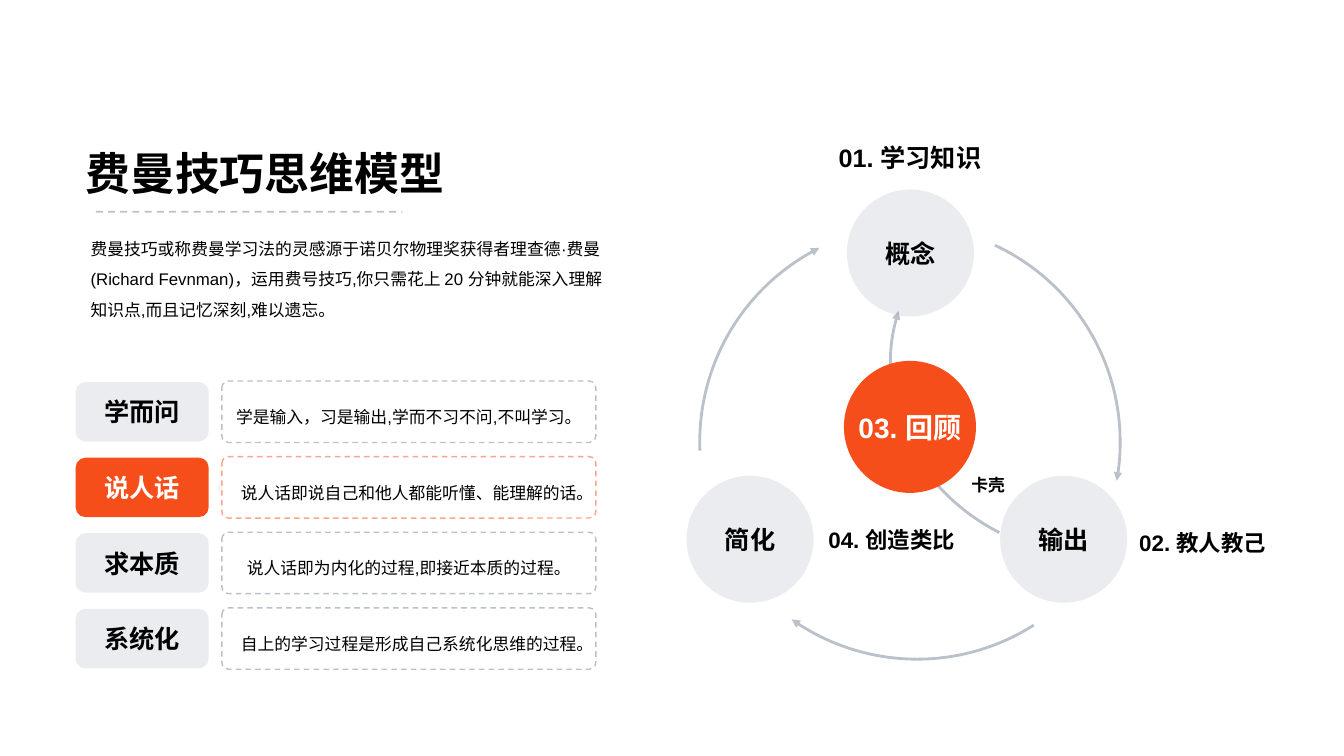
from lxml import etree
from pptx import Presentation
from pptx.dml.color import RGBColor
from pptx.enum.dml import MSO_LINE
from pptx.enum.shapes import MSO_CONNECTOR, MSO_SHAPE
from pptx.enum.text import MSO_ANCHOR, PP_ALIGN
from pptx.oxml.ns import qn
from pptx.util import Inches, Pt

ARC, OVAL, ROUND = MSO_SHAPE.ARC, MSO_SHAPE.OVAL, MSO_SHAPE.ROUNDED_RECTANGLE
LEFT, CENTER, RIGHT = PP_ALIGN.LEFT, PP_ALIGN.CENTER, PP_ALIGN.RIGHT
TOP, MIDDLE, BOTTOM = MSO_ANCHOR.TOP, MSO_ANCHOR.MIDDLE, MSO_ANCHOR.BOTTOM
DASH = MSO_LINE.DASH
COLORS = {name: RGBColor.from_string(code) for name, code in {
    "gray": "778495", "orange": "F54E1A", "black": "000000", "white": "FFFFFF",
}.items()}

deck = Presentation()
deck.slide_width, deck.slide_height = Inches(13.33), Inches(7.5)
slide = deck.slides.add_slide(deck.slide_layouts[6])
shapes = slide.shapes


def paint(shape, fill=None, line=None, width=1, dash=None, alpha=100):
    """Set fill and line without shadow; alpha is the opacity in percent."""
    props = shape._element.spPr
    if fill:
        shape.fill.solid()
        shape.fill.fore_color.rgb = COLORS[fill]
    elif hasattr(shape, "fill"):
        shape.fill.background()
    if line:
        shape.line.color.rgb = COLORS[line]
        shape.line.width = Pt(width)
        if dash:
            shape.line.dash_style = dash
    else:
        shape.line.fill.background()
    if alpha < 100:
        for color in props.iter(qn("a:srgbClr")):
            etree.SubElement(color, qn("a:alpha")).set("val", str(alpha * 1000))
    etree.SubElement(props, qn("a:effectLst"))


def write(shape, text, size, color="black", bold=True, align=CENTER,
          anchor=MIDDLE, space=None, wrap=True):
    frame = shape.text_frame
    frame.word_wrap = wrap
    frame.vertical_anchor = anchor
    para = frame.paragraphs[0]
    para.text = text
    para.alignment = align
    if space:
        para.line_spacing = space
    font = para.font
    font.name, font.size, font.bold = "Arial", Pt(size), bold
    font.color.rgb = COLORS[color]


# Arrows of the cycle; the first one is turned to run behind the centre
for x, y, w, h, start, end, turn in [
    (8.83, 1.68, 4.31, 3.86, 181.62, 8.51, 180),
    (6.8, 2.23, 4.31, 4.31, 177.04, 6.16, 0),
    (6.94, 2.23, 4.31, 4.31, 34.49, 75.15, 0),
    (6.94, 2.23, 4.31, 4.31, 106.63, 145.98, 0),
]:
    arc = shapes.add_shape(ARC, Inches(x), Inches(y), Inches(w), Inches(h))
    arc.adjustments[0], arc.adjustments[1] = start, end
    arc.rotation = turn
    paint(arc, line="gray", width=2, dash=MSO_LINE.SOLID, alpha=50)
    edge = arc._element.spPr.find(qn("a:ln"))
    etree.SubElement(edge, qn("a:tailEnd")).set("type", "triangle")

# Circles
for text, x, y, side, size, fill, alpha, color in [
    ("概念", 8.4, 1.88, 1.26, 18, "gray", 15, "black"),
    ("输出", 9.92, 4.72, 1.26, 18, "gray", 15, "black"),
    ("简化", 6.81, 4.72, 1.26, 18, "gray", 15, "black"),
    ("03. 回顾", 8.37, 3.58, 1.31, 20, "orange", 100, "white"),
]:
    disc = shapes.add_shape(OVAL, Inches(x), Inches(y), Inches(side), Inches(side))
    paint(disc, fill=fill, alpha=alpha)
    write(disc, text, size, color, wrap=False)

# Title, introduction and labels
intro = ("费曼技巧或称费曼学习法的灵感源于诺贝尔物理奖获得者理查德·费曼 "
         "(Richard Fevnman)，运用费号技巧,你只需花上 20 分钟就能深入理解知识点,"
         "而且记忆深刻,难以遗忘。")
for text, x, y, w, h, size, bold, align, anchor, space in [
    ("费曼技巧思维模型", 0.75, 1.27, 5.37, 0.76, 32, True, LEFT, BOTTOM, None),
    (intro, 0.8, 2.22, 5.38, 1.21, 12, False, LEFT, TOP, 1.5),
    ("01. 学习知识", 7.92, 1.12, 2.21, 0.64, 18, True, CENTER, BOTTOM, None),
    ("02. 教人教己", 11.2, 5.2, 1.65, 0.37, 16, True, LEFT, BOTTOM, None),
    ("04. 创造类比", 7.05, 4.99, 2.52, 0.72, 16, True, RIGHT, MIDDLE, None),
    ("卡壳", 9.48, 4.66, 0.64, 0.3, 12, True, CENTER, BOTTOM, None),
]:
    box = shapes.add_textbox(Inches(x), Inches(y), Inches(w), Inches(h))
    write(box, text, size, bold=bold, align=align, anchor=anchor, space=space)

rule = shapes.add_connector(MSO_CONNECTOR.STRAIGHT, Inches(0.95), Inches(2.1),
                            Inches(3.99), Inches(2.1))
paint(rule, line="gray", width=1.25, dash=DASH, alpha=50)

# Principles: a pill and a dashed note per row
for row, (name, note) in enumerate([
    ("学而问", "学是输入，习是输出,学而不习不问,不叫学习。"),
    ("说人话", "说人话即说自己和他人都能听懂、能理解的话。"),
    ("求本质", "说人话即为内化的过程,即接近本质的过程。"),
    ("系统化", "自上的学习过程是形成自己系统化思维的过程。"),
]):
    hot = name == "说人话"
    tint = "orange" if hot else "gray"
    y = 3.78 + 0.75 * row
    frame = shapes.add_shape(ROUND, Inches(2.2), Inches(y), Inches(3.71), Inches(0.61))
    frame.adjustments[0] = 0.11
    paint(frame, line=tint, dash=DASH, alpha=50)
    write(frame, note, 12, bold=False, space=1.5)
    pill = shapes.add_shape(ROUND, Inches(0.75), Inches(y + 0.01), Inches(1.32), Inches(0.59))
    paint(pill, fill=tint, alpha=100 if hot else 15)
    write(pill, name, 18, "white" if hot else "black")

deck.save("out.pptx")
